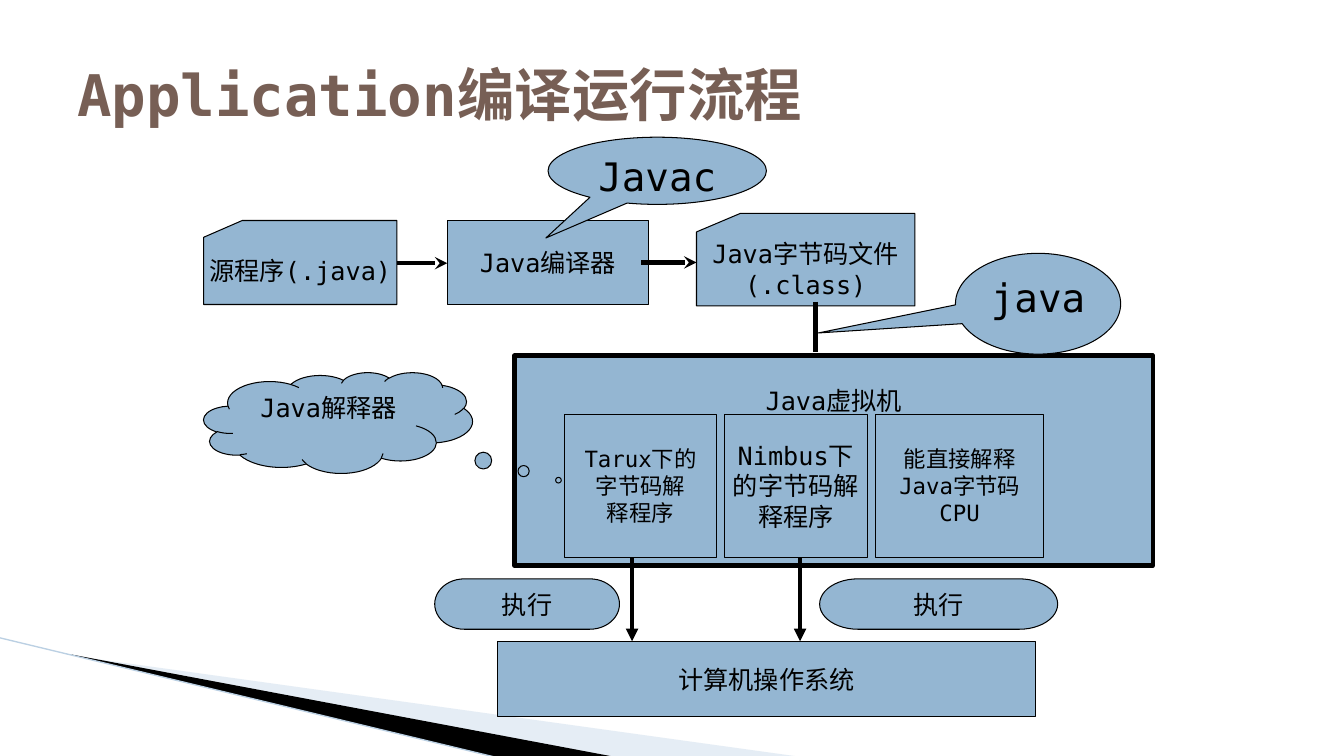
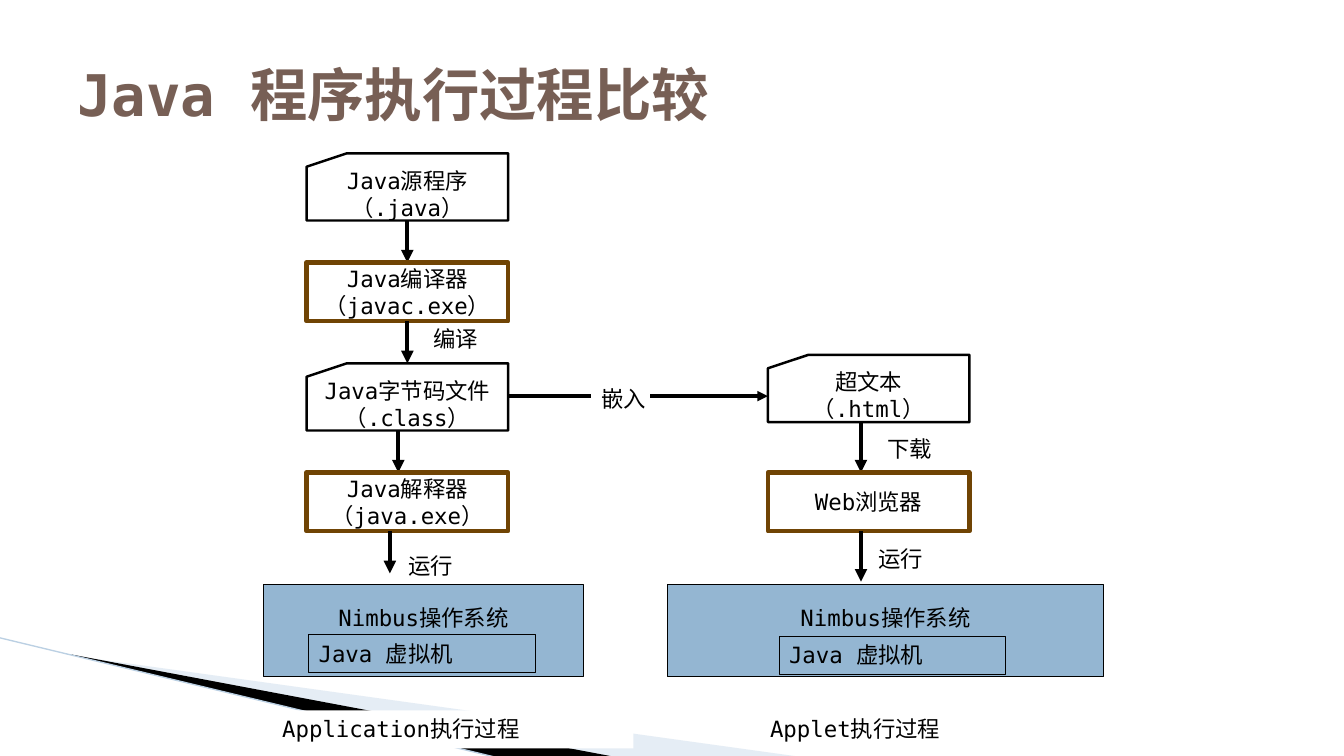
from pptx import Presentation
from pptx.dml.color import RGBColor
from pptx.enum.lang import MSO_LANGUAGE_ID
from pptx.enum.shapes import MSO_CONNECTOR, MSO_SHAPE
from pptx.enum.text import MSO_ANCHOR, MSO_AUTO_SIZE, PP_ALIGN
from pptx.oxml.ns import qn
from pptx.util import Pt
from lxml.etree import SubElement

FONT = "DejaVu Sans Mono"
BLACK = RGBColor(0x00, 0x00, 0x00)
WHITE = RGBColor(0xFF, 0xFF, 0xFF)
BLUE = RGBColor(0x94, 0xB6, 0xD2)
PALE = RGBColor(0xC0, 0xD3, 0xE6)
EDGE = RGBColor(0xBB, 0xD0, 0xE3)
BROWN = RGBColor(0x70, 0x44, 0x04)
TITLE = RGBColor(0x77, 0x5F, 0x55)

RECT = MSO_SHAPE.RECTANGLE
CARD = MSO_SHAPE.FLOWCHART_CARD
PILL = MSO_SHAPE.FLOWCHART_TERMINATOR
OVAL = MSO_SHAPE.OVAL_CALLOUT
CLOUD = MSO_SHAPE.CLOUD_CALLOUT

WEDGES = [
    (PALE, 40, [(52.5, 468.5), (571, 540.5), (437.5, 540.5), (52.5, 468)]),
    (BLACK, 100, [(51, 467.5), (438.5, 540.5), (357, 541.5), (52, 468)]),
]
WEDGE_EDGE = (-0.5, 455.5, 356.5, 541.5)

FLOW_TITLE = "Application编译运行流程"
FLOW_BOXES = [
    (CARD, (145.5, 157.5, 138, 60), ["源程序(.java)"]),
    (RECT, (319.5, 157.5, 144, 60), ["Java编译器"]),
    (CARD, (497.5, 152.5, 156, 66), ["Java字节码文件", "(.class)"]),
    (PILL, (310.5, 413.5, 132, 36), ["执行"]),
    (PILL, (585.5, 413.5, 170, 36), ["执行"]),
    (RECT, (355.5, 458, 384, 54), ["计算机操作系统"]),
]
MACHINE = ((367.5, 254, 456, 150), ["Java虚拟机"])
INTERPRETERS = [
    (108, 16, ["Tarux下的", "字节码解", "释程序"]),
    (102, 18, ["Nimbus下", "的字节码解", "释程序"]),
    (120, 16, ["能直接解释", "Java字节码", "CPU"]),
]
INTERPRETER_LEFT, INTERPRETER_TOP, INTERPRETER_H, INTERPRETER_GAP = 403.5, 296, 102, 6
FLOW_ARROWS = [
    ((283.5, 188, 319.5, 188), "stealth"),
    ((458, 187.5, 497.5, 187.5), "stealth"),
    ((582.5, 215.5, 582.5, 251.5), None),
    ((451.5, 398, 451.5, 458), "triangle"),
    ((571.5, 398, 571.5, 458), "triangle"),
]
CALLOUTS = [
    (OVAL, (391.5, 98, 156, 48), "Javac", 28, (-0.51, 1)),
    (OVAL, (682.5, 181, 118, 72), "java", 28, (-1.33, 0.29)),
    (CLOUD, (145.5, 266, 192, 72), "Java解释器", 18, (0.82, 0.57)),
]

COMPARE_TITLE = "Java 程序执行过程比较"
STEP_W = 144
STEP_STYLES = {
    CARD: (48, {"line": BLACK, "width": 1.75}),
    RECT: (42, {"line": BROWN, "width": 3}),
}
COLUMNS = [
    (219, 109.5, 30, [
        (CARD, ["Java源程序", "（.java）"], 291),
        (RECT, ["Java编译器", "（javac.exe）"], 291),
        (CARD, ["Java字节码文件", "（.class）"], 284.5),
        (RECT, ["Java解释器", "（java.exe）"], 278.5),
    ]),
    (548.5, 253.5, 36, [
        (CARD, ["超文本", "（.html）"], 615),
        (RECT, ["Web浏览器"], 615),
    ]),
]
SYSTEMS = [
    ((188.5, 417.5, 228, 66), (220.5, 453.5, 162, 27)),
    ((476.5, 417.5, 312, 66), (556.5, 454.5, 162, 27)),
]
EMBED_LINES = [
    ((362.5, 283, 422.5, 283), None, 2.75),
    ((464.5, 283, 548.5, 283), "triangle", 2.5),
]
LABELS = [
    ((302.5, 229, 90, 27), "编译", None),
    ((284.5, 391, 90, 27), "运行", None),
    ((422.5, 271.5, 54, 27), "嵌入", None),
    ((626.5, 307.5, 90, 27), "下载", None),
    ((620.5, 385.5, 90, 27), "运行", None),
    ((194.5, 507.5, 258, 27), "Application执行过程", WHITE),
    ((543, 507.5, 258, 27), "Applet执行过程", None),
]

LEFT_TEXT = {"align": PP_ALIGN.LEFT, "anchor": MSO_ANCHOR.TOP, "wrap": True}


def put_text(sp, lines, size=18, color=BLACK, bold=False, align=PP_ALIGN.CENTER,
             anchor=MSO_ANCHOR.MIDDLE, wrap=False, top=3.6):
    tf = sp.text_frame
    frame = {"word_wrap": wrap, "vertical_anchor": anchor, "margin_top": Pt(top)}
    for name, value in frame.items():
        setattr(tf, name, value)
    font = {"name": FONT, "size": Pt(size), "bold": bold,
            "language_id": MSO_LANGUAGE_ID.SIMPLIFIED_CHINESE}
    for i, line in enumerate(lines):
        p = tf.paragraphs[0] if i == 0 else tf.add_paragraph()
        p.alignment = align
        r = p.add_run()
        r.text = line
        for name, value in font.items():
            setattr(r.font, name, value)
        r.font.color.rgb = color
        SubElement(r._r.get_or_add_rPr(), qn("a:ea"), typeface=FONT)


def paint(sp, fill=BLUE, line=BLACK, width=0.75):
    sp.shadow.inherit = False
    if fill is None:
        sp.fill.background()
    else:
        sp.fill.solid()
        sp.fill.fore_color.rgb = fill
    if line is None:
        sp.line.fill.background()
    else:
        sp.line.color.rgb = line
        sp.line.width = Pt(width)


def add_box(s, kind, at, lines, look=None, **text):
    sp = s.shapes.add_shape(kind, *map(Pt, at))
    paint(sp, **(look or {}))
    put_text(sp, lines, **text)
    return sp


def add_line(s, ends, head=None, width=3, color=BLACK):
    ln = s.shapes.add_connector(MSO_CONNECTOR.STRAIGHT, *map(Pt, ends))
    ln.line.color.rgb = color
    ln.line.width = Pt(width)
    props = ln._element.spPr
    if head:
        SubElement(props.find(qn("a:ln")), qn("a:tailEnd"), type=head)
    SubElement(props, qn("a:effectLst"))


def add_label(s, at, text, fill=None):
    sp = s.shapes.add_textbox(*map(Pt, at))
    if fill is not None:
        sp.fill.solid()
        sp.fill.fore_color.rgb = fill
    put_text(sp, [text], size=16, **LEFT_TEXT)
    sp.text_frame.auto_size = MSO_AUTO_SIZE.SHAPE_TO_FIT_TEXT


def new_slide(prs, title):
    s = prs.slides.add_slide(prs.slide_layouts[6])
    for color, opacity, corners in WEDGES:
        points = [(Pt(x), Pt(y)) for x, y in corners]
        outline = s.shapes.build_freeform(*points[0])
        outline.add_line_segments(points[1:])
        sp = outline.convert_to_shape()
        paint(sp, color, None)
        if opacity < 100:
            rgb = sp._element.spPr.find(qn("a:solidFill"))[0]
            SubElement(rgb, qn("a:alpha"), val=str(opacity * 1000))
    add_line(s, WEDGE_EDGE, width=0.95, color=EDGE)
    sp = s.shapes.add_textbox(Pt(48), Pt(21.5), Pt(864), Pt(90))
    put_text(sp, [title], size=41, color=TITLE, bold=True, align=PP_ALIGN.LEFT, wrap=True)
    return s


def build_flow(prs):
    s = new_slide(prs, FLOW_TITLE)
    for kind, at, lines in FLOW_BOXES:
        add_box(s, kind, at, lines)
    at, lines = MACHINE
    add_box(s, RECT, at, lines, {"width": 3}, anchor=MSO_ANCHOR.TOP, top=21.5)
    x = INTERPRETER_LEFT
    for w, size, lines in INTERPRETERS:
        add_box(s, RECT, (x, INTERPRETER_TOP, w, INTERPRETER_H), lines, size=size)
        x += w + INTERPRETER_GAP
    for ends, head in FLOW_ARROWS:
        add_line(s, ends, head)
    for kind, at, text, size, tip in CALLOUTS:
        sp = add_box(s, kind, at, [text], size=size, anchor=MSO_ANCHOR.TOP, wrap=True)
        for i, value in enumerate(tip):
            sp.adjustments[i] = value


def build_compare(prs):
    s = new_slide(prs, COMPARE_TITLE)
    for x, y, gap, steps in COLUMNS:
        for kind, lines, arrow_x in steps:
            h, look = STEP_STYLES[kind]
            add_box(s, kind, (x, y, STEP_W, h), lines, {"fill": WHITE, **look}, size=16)
            y += h
            add_line(s, (arrow_x, y, arrow_x, y + gap), "triangle")
            y += gap
    for system, machine in SYSTEMS:
        add_box(s, RECT, system, ["Nimbus操作系统"], size=16, anchor=MSO_ANCHOR.TOP, top=14)
        add_box(s, RECT, machine, ["Java 虚拟机"], {"fill": None}, size=16, **LEFT_TEXT)
    for ends, head, width in EMBED_LINES:
        add_line(s, ends, head, width)
    for at, text, fill in LABELS:
        add_label(s, at, text, fill)


def main():
    prs = Presentation()
    prs.slide_width, prs.slide_height = Pt(960), Pt(540)
    build_flow(prs)
    build_compare(prs)
    prs.save("out.pptx")


if __name__ == "__main__":
    main()
